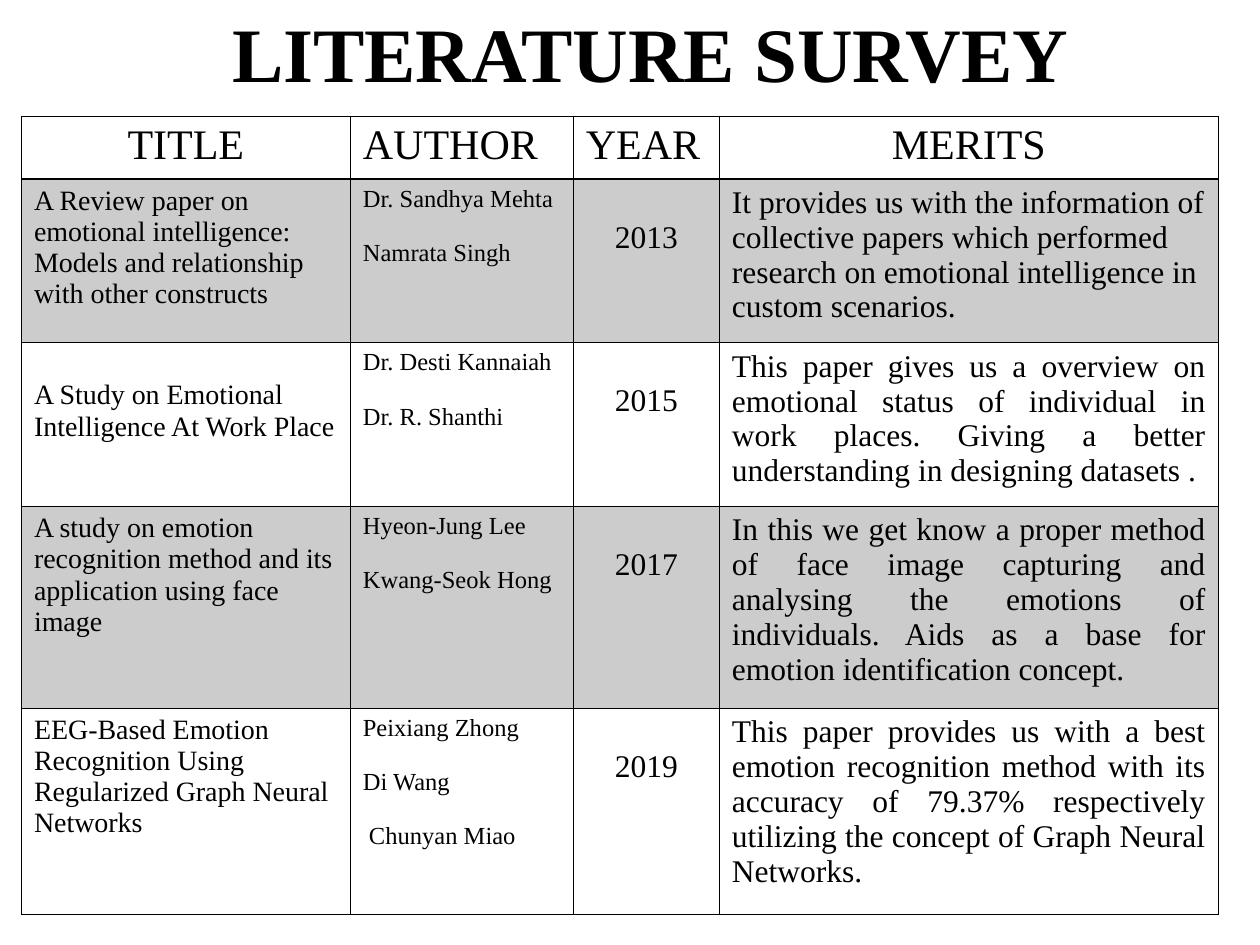
import pptx
import pptx.dml.color
import pptx.enum.text
import pptx.oxml
import pptx.oxml.ns
import pptx.util

ALIGN = pptx.enum.text.PP_ALIGN
ANCHOR = pptx.enum.text.MSO_ANCHOR
LINE = 1.107  # line height of the font, as a share of its size

HEADS = ["TITLE", "AUTHOR", "YEAR", "MERITS"]
# title, blank lines above it, authors, year, merits, alignment of merits
PAPERS = [
    ("A Review paper on emotional intelligence: Models and relationship with other constructs", 0,
     ["Dr. Sandhya Mehta", "Namrata Singh"], "2013",
     "It provides us with the information of collective papers which performed research on "
     "emotional intelligence in custom scenarios.", ALIGN.LEFT),
    ("A Study on Emotional Intelligence At Work Place", 1,
     ["Dr. Desti Kannaiah", "Dr. R. Shanthi"], "2015",
     "This paper gives us a overview on emotional status of individual in work places. "
     "Giving a better understanding in designing datasets .", ALIGN.JUSTIFY),
    ("A study on emotion recognition method and its application using face image", 0,
     ["Hyeon-Jung Lee", "Kwang-Seok Hong"], "2017",
     "In this we get know a proper method of face image capturing and analysing the emotions "
     "of individuals. Aids as a base for emotion identification concept.", ALIGN.JUSTIFY),
    ("EEG-Based Emotion Recognition Using Regularized Graph Neural Networks", 0,
     ["Peixiang Zhong", "Di Wang", " Chunyan Miao"], "2019",
     "This paper provides us with a best emotion recognition method with its accuracy of 79.37% "
     "respectively utilizing the concept of Graph Neural Networks.", ALIGN.JUSTIFY),
]


def color(text):
    return pptx.dml.color.RGBColor.from_string(text)


def write(frame, lines, size=18, align=ALIGN.LEFT, bold=False, gap=0,
          font="Times New Roman", ink="000000"):
    """Fill a text frame, one paragraph a line, with gap points between them."""
    frame.word_wrap = True
    for i, line in enumerate(lines):
        para = frame.add_paragraph() if i else frame.paragraphs[0]
        para.alignment = align
        para.space_before = pptx.util.Pt(gap if i else 0)
        run = para.add_run()
        run.text = line
        run.font.name, run.font.size, run.font.bold = font, pptx.util.Pt(size), bold
        run.font.color.rgb = color(ink)


class Deck:
    """Style and current slide; lengths are cells of a 100 by 75 grid."""

    def __init__(self, ink="000000", wide=10, high=7.5):
        self.ink = ink
        self.show = pptx.Presentation()
        self.show.slide_width = pptx.util.Inches(wide)
        self.show.slide_height = pptx.util.Inches(high)
        self.unit = self.show.slide_width / 100
        self.slide = self.show.slides.add_slide(self.show.slide_layouts[5])

    def grid(self, *cells):
        return [round(cell * self.unit) for cell in cells]

    def title(self, text, *box):
        shape = self.slide.shapes.title
        shape.left, shape.top, shape.width, shape.height = self.grid(*box)
        frame = shape.text_frame
        frame.auto_size = pptx.enum.text.MSO_AUTO_SIZE.NONE
        frame.vertical_anchor = ANCHOR.BOTTOM
        write(frame, [text], size=44, align=ALIGN.CENTER, bold=True, ink=self.ink)

    def table(self, left, top, cols, rows):
        box = self.grid(left, top, sum(cols), sum(rows))
        table = self.slide.shapes.add_table(len(rows), len(cols), *box).table
        table.first_row = table.horz_banding = False
        for col, width in zip(table.columns, self.grid(*cols)):
            col.width = width
        for row, height in zip(table.rows, self.grid(*rows)):
            row.height = height
        return table

    def cell(self, cell, lines, skip=0, shade=False, top=0.45, base=0.45, **form):
        """Write a cell; skip is the number of blank lines above the text."""
        size = form.get("size", 18)
        cell.margin_top = pptx.util.Pt(3.6 + skip * size * LINE)
        cell.margin_bottom = pptx.util.Pt(3.6)
        cell.vertical_anchor = ANCHOR.TOP
        write(cell.text_frame, lines, ink=self.ink, **form)
        self.border(cell, L=0.45, R=0.45, T=top, B=base)
        if shade:
            cell.fill.solid()
            cell.fill.fore_color.rgb = color(self.ink)
            tint = cell._tc.tcPr.find(".//" + pptx.oxml.ns.qn("a:srgbClr") + "[last()]")
            for tint in cell._tc.tcPr.find(pptx.oxml.ns.qn("a:solidFill")):
                tint.append(pptx.oxml.parse_xml(
                    f'<a:alpha {pptx.oxml.ns.nsdecls("a")} val="20000"/>'))
        else:
            cell.fill.background()

    def border(self, cell, **sides):
        for side, width in sides.items():
            cell._tc.get_or_add_tcPr().append(pptx.oxml.parse_xml(
                f'<a:ln{side} {pptx.oxml.ns.nsdecls("a")} w="{pptx.util.Pt(width)}">'
                f'<a:solidFill><a:srgbClr val="{self.ink}"/></a:solidFill></a:ln{side}>'))


def main():
    deck = Deck()
    deck.title("LITERATURE SURVEY", 10, 0, 83.3, 8.3)
    table = deck.table(1.7, 9.2, [26.1, 17.7, 11.6, 39.6], [5, 13, 13, 16, 16.4])

    for i, head in enumerate(HEADS):
        align = ALIGN.CENTER if head in ("TITLE", "MERITS") else ALIGN.LEFT
        deck.cell(table.cell(0, i), [head], size=24, align=align, base=0.96)

    for i, (name, skip, authors, year, merits, align) in enumerate(PAPERS, 1):
        look = {"shade": i % 2 == 1, "top": 0.96 if i == 1 else 0.45}
        deck.cell(table.cell(i, 0), [name], size=16, skip=skip, **look)
        deck.cell(table.cell(i, 1), authors, size=14, gap=14 * LINE, **look)
        deck.cell(table.cell(i, 2), [year], skip=1, align=ALIGN.CENTER, **look)
        deck.cell(table.cell(i, 3), [merits], align=align, **look)

    deck.show.save("out.pptx")


if __name__ == "__main__":
    main()
